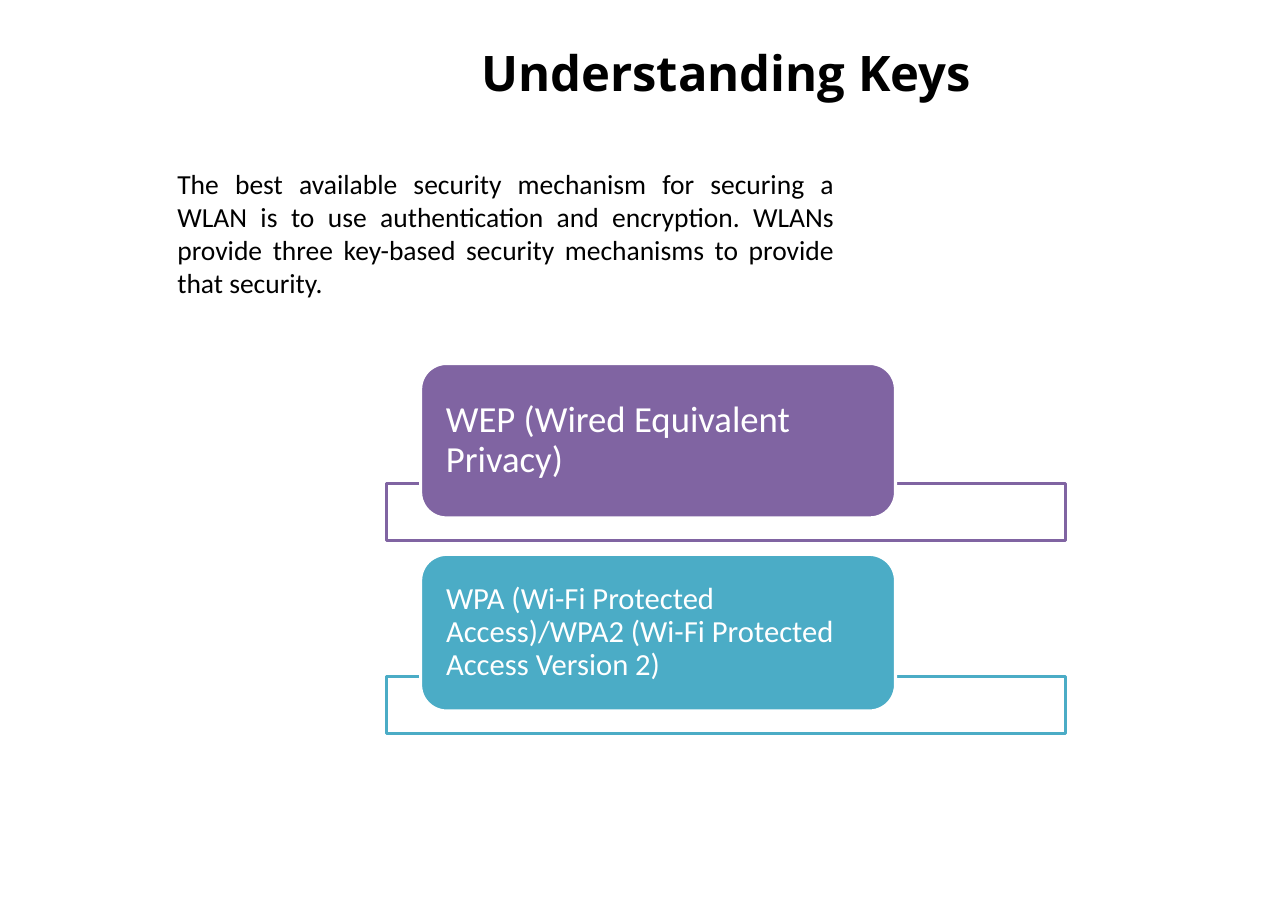
from pptx import Presentation
from pptx.dml.color import RGBColor
from pptx.enum import shapes, text
from pptx.util import Cm, Pt

INTRO = (
    "The best available security mechanism for securing a WLAN is to use "
    "authentication and encryption. WLANs provide three key-based security "
    "mechanisms to provide that security."
)
# card top, card height, frame top (cm), text size, colour, wording
MECHANISMS = [
    (8.38, 3.56, 11.15, 24, "8064A2", "WEP (Wired Equivalent Privacy)"),
    (12.78, 3.61, 15.6, 20, "4BACC6",
     "WPA (Wi-Fi Protected Access)/WPA2 (Wi-Fi Protected Access Version 2)"),
]
TITLE_FONT = {"name": "Open Sans", "size": Pt(32), "bold": True}
INTRO_FONT = {"name": "Calibri", "size": Pt(18)}


def color(hex_value):
    return RGBColor.from_string(hex_value)


def write(frame, wording, font_format, ink, frame_format, paragraph_format):
    """Fill a text frame with one paragraph and apply the format values."""
    paragraph = frame.paragraphs[0]
    paragraph.text = wording
    paragraph.font.color.rgb = color(ink)
    for target, values in (
        (frame, {"word_wrap": True, **frame_format}),
        (paragraph, paragraph_format),
        (paragraph.font, font_format),
    ):
        for attribute, value in values.items():
            setattr(target, attribute, value)


def add_text(slide, box, *content):
    label = slide.shapes.add_textbox(*map(Cm, box))
    write(label.text_frame, *content)


def add_panel(slide, preset, box, fill, outline):
    panel = slide.shapes.add_shape(preset, *map(Cm, box))
    panel.shadow.inherit = False
    panel.fill.solid()
    panel.fill.fore_color.rgb = color(fill)
    panel.line.color.rgb = color(outline)
    panel.line.width = Pt(2)
    return panel


def add_mechanism(slide, top, height, frame_top, size, accent, wording):
    """Add an outlined frame with a filled card overlapping its top edge."""
    add_panel(slide, shapes.MSO_SHAPE.RECTANGLE,
              (8.92, frame_top, 15.65, 1.32), "FFFFFF", accent)
    card = add_panel(slide, shapes.MSO_SHAPE.ROUNDED_RECTANGLE,
                     (9.7, top, 10.95, height), accent, "FFFFFF")
    write(
        card.text_frame, wording, {"name": "Calibri", "size": Pt(size)}, "FFFFFF",
        {"vertical_anchor": text.MSO_ANCHOR.MIDDLE,
         "margin_left": Cm(0.41), "margin_right": Cm(0.41),
         "margin_top": 0, "margin_bottom": 0},
        {"alignment": text.PP_ALIGN.LEFT, "line_spacing": 0.9},
    )


def main():
    deck = Presentation()
    deck.slide_width, deck.slide_height = Cm(29.7), Cm(21)
    slide = deck.slides.add_slide(deck.slide_layouts[6])

    add_text(slide, (6.22, 0.74, 21.06, 1.83), "Understanding Keys",
             TITLE_FONT, "000000",
             {"vertical_anchor": text.MSO_ANCHOR.MIDDLE},
             {"alignment": text.PP_ALIGN.CENTER})
    add_text(slide, (3.84, 3.73, 15.65, 3.33), INTRO,
             INTRO_FONT, "000000",
             {"auto_size": text.MSO_AUTO_SIZE.SHAPE_TO_FIT_TEXT},
             {"alignment": text.PP_ALIGN.JUSTIFY})
    for mechanism in MECHANISMS:
        add_mechanism(slide, *mechanism)

    deck.save("out.pptx")


if __name__ == "__main__":
    main()
